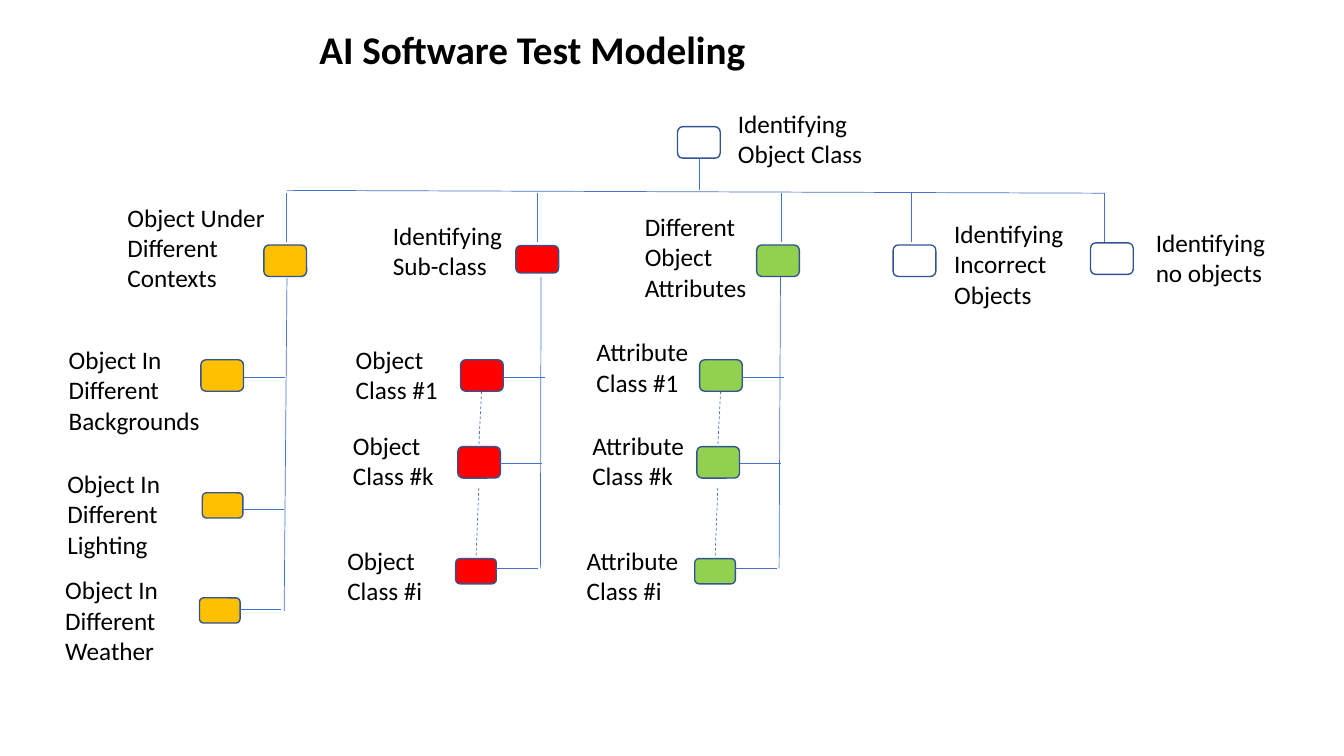
from lxml import etree
from pptx import Presentation
from pptx.dml.color import RGBColor
from pptx.enum.dml import MSO_LINE
from pptx.enum.shapes import MSO_CONNECTOR, MSO_SHAPE
from pptx.enum.text import MSO_ANCHOR, MSO_AUTO_SIZE as AutoSize, PP_ALIGN
from pptx.oxml.ns import qn
from pptx.util import Pt

WHITE, AMBER, RED, GREEN = "FFFFFF", "FFC000", "FF0000", "92D050"
BOX = (30.5, 22.5)
FLAT_BOX = (30.5, 19.5)
SMALL_BOX = (29, 18)
TWIG = 29.5


def colour(hex_code):
    return RGBColor.from_string(hex_code)


class TreeSlide:
    """Style and drawing methods for the test model tree."""

    font, ink, outline, link = "Calibri", "000000", "325491", "4472C4"

    def __init__(self, deck):
        self.slide = deck.slides.add_slide(deck.slide_layouts[5])
        self.shapes = self.slide.shapes

    def add_text(self, paragraph, text, size, bold=False):
        paragraph.alignment = PP_ALIGN.LEFT
        run = paragraph.add_run()
        run.text = text
        run.font.name, run.font.size, run.font.bold = self.font, Pt(size), bold
        run.font.color.rgb = colour(self.ink)

    def title(self, text, left, top, width, height):
        heading = self.shapes.title
        heading.left, heading.top = Pt(left), Pt(top)
        heading.width, heading.height = Pt(width), Pt(height)
        frame = heading.text_frame
        frame.word_wrap, frame.auto_size = False, AutoSize.NONE
        frame.vertical_anchor = MSO_ANCHOR.TOP
        self.add_text(frame.paragraphs[0], text, 28, bold=True)

    def label(self, lines, left, top, width, rows=None):
        height = 21.6 * (rows or len(lines)) + 7.2
        frame = self.shapes.add_textbox(Pt(left), Pt(top), Pt(width), Pt(height)).text_frame
        frame.word_wrap, frame.auto_size = True, AutoSize.SHAPE_TO_FIT_TEXT
        for index, line in enumerate(lines):
            paragraph = frame.add_paragraph() if index else frame.paragraphs[0]
            self.add_text(paragraph, line, 18)

    def box(self, left, top, size, fill):
        node = self.shapes.add_shape(
            MSO_SHAPE.ROUNDED_RECTANGLE, Pt(left), Pt(top), Pt(size[0]), Pt(size[1]))
        node.shadow.inherit = False
        node.fill.solid()
        node.fill.fore_color.rgb = colour(fill)
        node.line.color.rgb = colour(self.outline)
        node.line.width = Pt(1)

    def line(self, x1, y1, x2, y2, dashed=False):
        edge = self.shapes.add_connector(
            MSO_CONNECTOR.STRAIGHT, Pt(x1), Pt(y1), Pt(x2), Pt(y2))
        edge.line.color.rgb = colour(self.link)
        edge.line.width = Pt(0.5)
        if dashed:
            edge.line.dash_style = MSO_LINE.DASH
        etree.SubElement(edge._element.spPr, qn("a:effectLst"))

    def child(self, lines, place, left, top, size, fill, twig_y, rows=None):
        """A labelled box with a twig to the trunk on its right."""
        self.label(lines, *place, rows=rows)
        self.box(left, top, size, fill)
        right = left + size[0]
        self.line(right, twig_y, right + TWIG, twig_y)


def main():
    deck = Presentation()
    deck.slide_width, deck.slide_height = Pt(960), Pt(540)
    tree = TreeSlide(deck)
    tree.title("AI Software Test Modeling", 221, 14.5, 355.5, 41)

    # Root and the bar below it
    tree.label(["Identifying Object Class"], 520, 73.5, 114.5, rows=2)
    tree.box(484, 90.5, BOX, WHITE)
    tree.line(499.5, 113, 499.5, 136)
    tree.line(205, 136, 789, 138)

    # Branches: label, its place, box corner, box size, fill, drop x
    branches = [
        (["Object Under", "Different", "Contexts"], (84, 141, 124), (188.5, 175), BOX, AMBER, 204.5),
        (["Identifying", "Sub-class"], (273.5, 153.5, 105), (368.5, 175.5), FLAT_BOX, RED, 384),
        (["Different", "Object", "Attributes"], (453.5, 147.5, 91), (540.5, 175), BOX, GREEN, 558),
        (["Identifying", "Incorrect", "Objects"], (674.5, 152.5, 96.5), (638, 175), BOX, WHITE, 651),
        (["Identifying", "no objects"], (818.5, 159, 96.5), (779, 173.5), BOX, WHITE, 789),
    ]
    for lines, place, corner, size, fill, drop_x in branches:
        tree.label(lines, *place)
        tree.box(*corner, size, fill)
        tree.line(drop_x, 138, drop_x, 173)

    # Trunks
    for trunk in [(205, 198.5, 203, 436.5), (386.5, 198, 386, 406), (557.5, 198, 556.5, 406)]:
        tree.line(*trunk)

    # Contexts
    tree.child(["Object In Different Backgrounds"], (42, 242.5, 127.5),
               143.5, 257, BOX, AMBER, 269.5, rows=3)
    tree.child(["Object In", "Different", "Lighting"], (41, 331, 95),
               144.5, 352, SMALL_BOX, AMBER, 363.5)
    tree.child(["Object In", "Different", "Weather"], (39.5, 407, 95),
               142.5, 427, SMALL_BOX, AMBER, 435.5)

    # Object and attribute classes: mark, box x, box y, size, twig y
    levels = [("1", 329, 257, BOX, 269.5), ("k", 327, 319, BOX, 331), ("i", 325.5, 399, SMALL_BOX, 406)]
    families = [
        ("Object", RED, 0, [(247, 242.5, 82), (245, 304, 82), (241, 386, 78)]),
        ("Attribute", GREEN, 170.75, [(419, 237, 88.5), (416, 304, 92), (412, 386, 86.5)]),
    ]
    for family, fill, shift, places in families:
        for (mark, left, top, size, twig_y), place in zip(levels, places):
            tree.child([family, f"Class #{mark}"], place, left + shift, top, size, fill, twig_y)
        tree.line(344 + shift, 279.5, 342 + shift, 319, dashed=True)
        tree.line(342 + shift, 348.5, 340 + shift, 399, dashed=True)

    deck.save("out.pptx")


if __name__ == "__main__":
    main()
